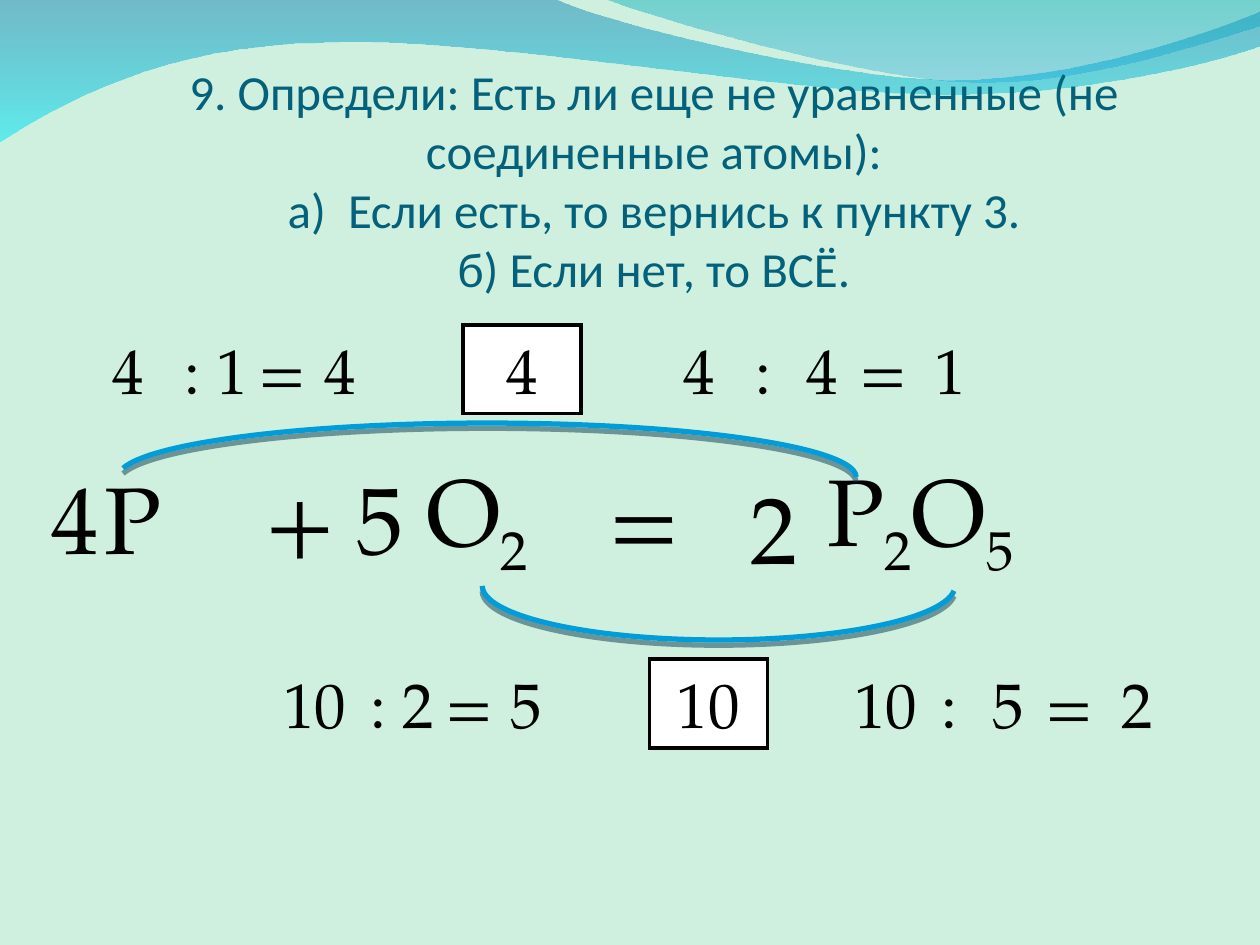
from dataclasses import dataclass

from lxml.etree import SubElement as Sub
from pptx import Presentation
from pptx.dml.color import RGBColor as RGB
from pptx.enum.shapes import MSO_SHAPE as Kind
from pptx.enum.text import MSO_ANCHOR as Anchor, MSO_AUTO_SIZE as Fit, PP_ALIGN as Align
from pptx.oxml.ns import qn
from pptx.util import Cm, Pt


@dataclass(frozen=True)
class Theme:
    back: str = "CFF0DE"
    head: str = "04617B"
    ink: str = "000000"
    paper: str = "FFFFFF"
    arc: str = "009DD9"
    shade: str = "003148"
    sans: str = "Calibri"
    serif: str = "TeX Gyre Pagella"
    title: int = 28
    sum: int = 36
    term: int = 54


T = Theme()
TALL = 1.79  # height of a digit cell, cm

# Left offset and width of each cell in a row of sums, cm
CELLS = [(0, 2.38), (1.98, 0.99), (2.58, 1.39), (3.57, 1.39), (4.76, 1.39),
         (7.93, 2.38),
         (11.51, 2.38), (13.49, 0.99), (14.48, 1.39), (15.67, 1.39), (17.07, 1.39)]
BOXED = 5

# Row left and top, then the text of its cells
ROWS = [
    (1.4, 6.55, "4 : 1 = 4 4 4 : 4 = 1"),
    (5.16, 13.29, "10 : 2 = 5 10 10 : 5 = 2"),
]

# Equation parts: left, top, width, height, runs; "_" marks a subscript
TERMS = [
    (11.51, 8.93, 2.98, 2.98, ["="]),
    (1.19, 8.93, 2.98, 2.98, ["P"]),
    (8.13, 8.93, 2.98, 2.98, ["O", "_2"]),
    (4.57, 8.93, 2.98, 2.98, ["+"]),
    (15.48, 8.93, 6.15, 2.98, ["P", "_2", "O", "_5"]),
    (6.94, 9.53, 1.39, TALL, ["5"]),
    (14.88, 9.73, 1.39, TALL, ["2"]),
    (0.79, 9.53, 1.39, TALL, ["4"]),
]

# Wave outlines: a pair is a line end, a six is a Bezier curve, cm
WAVES = [
    ([(0, -0.03), (11.18, -0.03),
      (12.09, 0.43, 16.87, 1.6, 19.25, 1.6),
      (21.67, 1.6, 24.33, 0.66, 25.4, 0.23), (25.43, 0.91),
      (24.97, 1.12, 22.1, 1.93, 18.95, 1.9),
      (15.8, 1.9, 9.7, 0.71, 6.53, 0.86),
      (3.28, 0.89, 1.17, 2.11, -0.03, 2.87)],
     [("0079AF", 45), ("00EBF8", 55)]),
    ([(12.17, -0.03),
      (12.93, 0.28, 17.32, 1.57, 19.53, 1.65),
      (21.74, 1.75, 24.41, 0.81, 25.4, 0.53), (25.4, 0)],
     [("00ADB6", 45), ("009BE5", 30)]),
]


def add_outline(slide, steps):
    """Build a closed outline, joining each three curve points to one Bezier."""
    dots = [(Cm(x), Cm(y)) for step in steps for x, y in zip(step[::2], step[1::2])]
    pen = slide.shapes.build_freeform(*dots[0])
    pen.add_line_segments(dots[1:], close=True)
    shape = pen.convert_to_shape()
    nodes = iter(list(shape.element.iter(qn("a:lnTo"))))
    for step in steps[1:]:
        node = next(nodes)
        if len(step) == 6:
            curve = node.makeelement(qn("a:cubicBezTo"))
            node.addprevious(curve)
            for part in (node, next(nodes), next(nodes)):
                curve.append(part[0])
                part.getparent().remove(part)
    return shape


def add_wave(slide, steps, stops):
    wave = add_outline(slide, steps)
    wave.shadow.inherit = False
    wave.line.fill.background()
    wave.fill.gradient()
    wave.fill.gradient_angle = 270
    for stop, (tint, _) in zip(wave.fill.gradient_stops, stops):
        stop.color.rgb = RGB.from_string(tint)
    tints = wave.element.spPr.iter(qn("a:srgbClr"))
    for node, (_, alpha) in zip(tints, stops):
        Sub(node, qn("a:alpha"), val=str(alpha * 1000))


def add_run(para, text, size, face, tint):
    run = para.add_run()
    run.text = text.lstrip("_")
    run.font.size, run.font.name = Pt(size), face
    run.font.color.rgb = RGB.from_string(tint)
    if text.startswith("_"):
        run.font._element.set("baseline", "-25000")


def add_cell(slide, x, y, w, h, runs, size, boxed=False):
    place = Cm(x), Cm(y), Cm(w), Cm(h)
    if boxed:
        cell = slide.shapes.add_shape(Kind.RECTANGLE, *place)
        cell.shadow.inherit = False
        cell.fill.solid()
        cell.fill.fore_color.rgb = RGB.from_string(T.paper)
        cell.line.color.rgb = RGB.from_string(T.ink)
        cell.line.width = Pt(2)
        Sub(cell.element.spPr.find(qn("a:ln")), qn("a:miter"), lim="800000")
    else:
        cell = slide.shapes.add_textbox(*place)
    frame = cell.text_frame
    frame.word_wrap = True
    frame.vertical_anchor = Anchor.MIDDLE
    para = frame.paragraphs[0]
    para.alignment = Align.CENTER
    for text in runs:
        add_run(para, text, size, T.serif, T.ink)


def add_arc(slide, x, y, w, h, start, turn=0):
    """Draw the upper half of an oval from a start angle, in degrees."""
    arc = slide.shapes.add_shape(Kind.ARC, Cm(x), Cm(y), Cm(w), Cm(h))
    arc.adjustments[0] = start * 0.6
    arc.adjustments[1] = 0
    arc.rotation = turn
    arc.fill.background()
    arc.line.color.rgb = RGB.from_string(T.arc)
    arc.line.width = Pt(3)
    # Shadow straight below
    fx = Sub(arc.element.spPr, qn("a:effectLst"))
    drop = Sub(fx, qn("a:outerShdw"), blurRad="0", dist=str(Pt(3)),
               dir="5400000", rotWithShape="0")
    tint = Sub(drop, qn("a:srgbClr"), val=T.shade)
    Sub(tint, qn("a:alpha"), val="48000")


def set_title(slide, lines):
    title = slide.shapes.title
    title.left, title.top, title.width, title.height = Cm(2.38), Cm(1), Cm(21.6), Cm(6.15)
    frame = title.text_frame
    frame.auto_size = Fit.NONE
    frame.word_wrap = True
    frame.vertical_anchor = Anchor.BOTTOM
    frame.margin_left = frame.margin_right = 0
    frame.margin_bottom = Cm(1.16)
    para = frame.paragraphs[0]
    para.alignment = Align.CENTER
    para.line_spacing = 1.0
    for i, line in enumerate(lines):
        if i:
            para.add_line_break()
        add_run(para, line, T.title, T.sans, T.head)
    # Bring the title in front of the waves
    title.element.getparent().append(title.element)


def main():
    deck = Presentation()
    deck.slide_width, deck.slide_height = Cm(25.4), Cm(19.05)
    slide = deck.slides.add_slide(deck.slide_layouts[5])
    slide.background.fill.solid()
    slide.background.fill.fore_color.rgb = RGB.from_string(T.back)

    # Waves and title
    for steps, stops in WAVES:
        add_wave(slide, steps, stops)
    set_title(slide, ["9. Определи: Есть ли еще не уравненные (не соединенные атомы):",
                      "а)  Если есть, то вернись к пункту 3.",
                      "б) Если нет, то ВСЁ."])

    # Equation
    for x, y, w, h, runs in TERMS:
        add_cell(slide, x, y, w, h, runs, T.term)

    # Arcs that join like atoms
    add_arc(slide, 2.38, 8.53, 14.88, 2.18, 181.4)
    add_arc(slide, 9.72, 10.72, 9.53, 2.18, 181.2, 180)

    # Rows of sums
    for left, top, line in ROWS:
        for i, ((dx, w), text) in enumerate(zip(CELLS, line.split())):
            add_cell(slide, left + dx, top, w, TALL, [text], T.sum, i == BOXED)

    deck.save("out.pptx")


if __name__ == "__main__":
    main()
